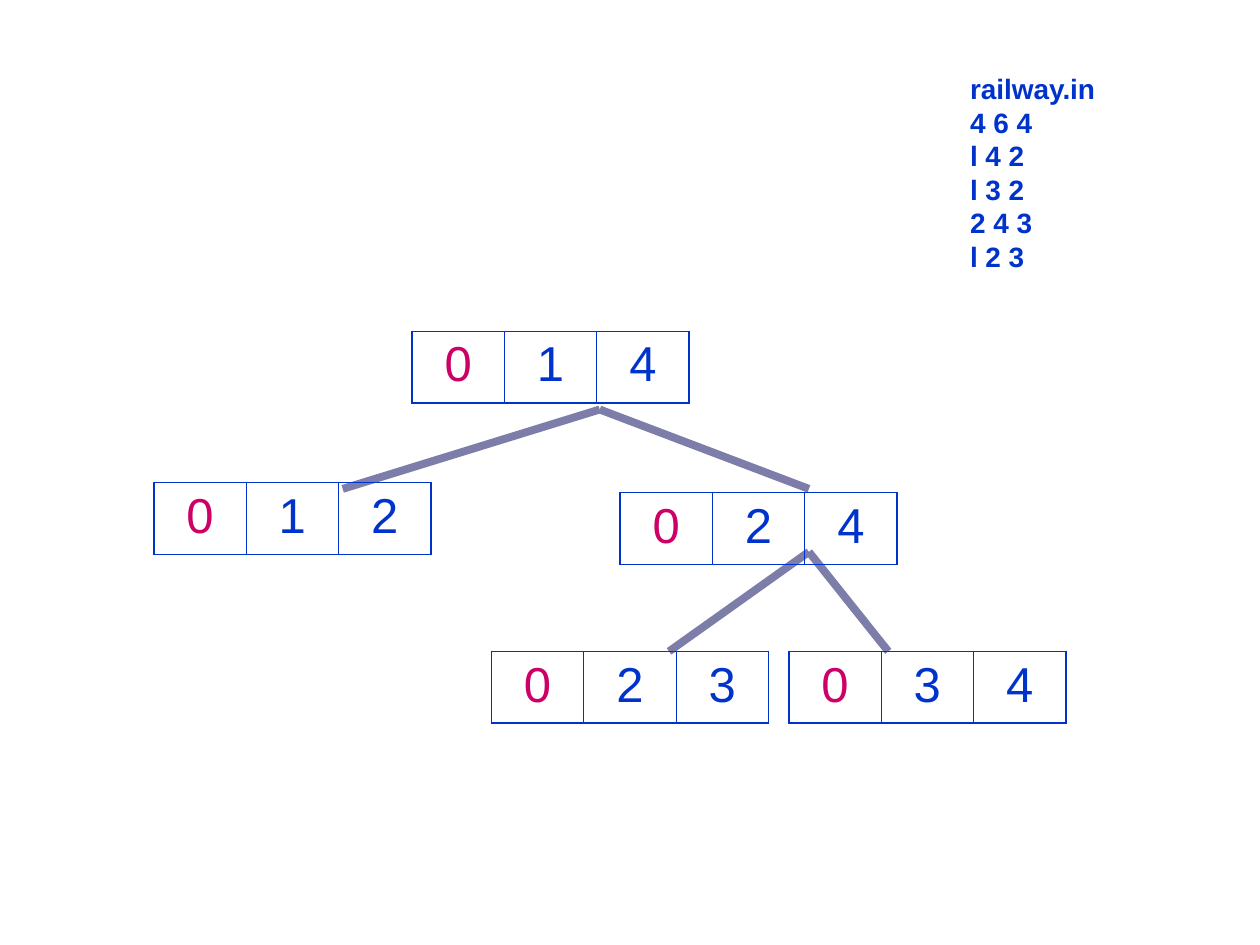
from lxml import etree
from pptx import Presentation
from pptx.dml.color import RGBColor
from pptx.enum.shapes import MSO_CONNECTOR
from pptx.enum.text import MSO_AUTO_SIZE, PP_ALIGN
from pptx.oxml.ns import qn
from pptx.util import Inches, Pt

BLUE = RGBColor(0x00, 0x33, 0xCC)
PINK = RGBColor(0xCC, 0x00, 0x66)
GREY = RGBColor(0x7D, 0x7D, 0xA9)
FONT = "Arial"
STRAIGHT = MSO_CONNECTOR.STRAIGHT
CENTER = PP_ALIGN.CENTER
FIT = MSO_AUTO_SIZE.SHAPE_TO_FIT_TEXT

# The slide is a grid of 100 columns by 75 rows.
COLS, ROWS = 100, 75
UNIT = Inches(0.1)
NODE_W, NODE_H = 22, 5.7
THICK, THIN = Pt(1.08), Pt(0.45)

# Left column, top row and values of each tree node.
NODES = [
    (32.7, 26.3, "014"),
    (12.2, 38.3, "012"),
    (49.2, 39.1, "024"),
    (39, 51.7, "023"),
    (62.6, 51.7, "034"),
]
ROOT, FORK = (47.6, 32.5), (64.2, 43.8)
EDGES = [
    (ROOT, (27.2, 38.8)),
    (FORK, (53.1, 51.7)),
    (FORK, (70.5, 51.7)),
    (ROOT, (64.2, 38.8)),
]
INPUT = "railway.in\n4 6 4\nl 4 2\nl 3 2\n2 4 3\nl 2 3"


def grid(*cells):
    return [round(n * UNIT) for n in cells]


def style(para, size, color, bold=False):
    font = para.font
    font.name, font.size, font.bold = FONT, Pt(size), bold
    font.color.rgb = color


def add_edge(slide, start, end):
    edge = slide.shapes.add_connector(STRAIGHT, *grid(*start, *end))
    edge.line.color.rgb = GREY
    edge.line.width = Pt(4.5)
    etree.SubElement(edge._element.spPr, qn("a:effectLst"))


def add_border(cell, side, width):
    props = cell._tc.get_or_add_tcPr()
    line = etree.SubElement(props, qn(f"a:ln{side}"), w=str(width))
    fill = etree.SubElement(line, qn("a:solidFill"))
    etree.SubElement(fill, qn("a:srgbClr"), val=str(BLUE))


def add_node(slide, left, top, values):
    """Draw a one-row table with thick outer and thin inner borders."""
    count = len(values)
    box = grid(left, top, NODE_W, NODE_H)
    table = slide.shapes.add_table(1, count, *box).table
    table.first_row = table.horz_banding = False
    for i, value in enumerate(values):
        cell = table.cell(0, i)
        cell.text = value
        para = cell.text_frame.paragraphs[0]
        para.alignment = CENTER
        style(para, 28, BLUE if i else PINK)
        add_border(cell, "L", THIN if i else THICK)
        add_border(cell, "R", THIN if i < count - 1 else THICK)
        add_border(cell, "T", THICK)
        add_border(cell, "B", THICK)
        cell.fill.background()


def add_note(slide, left, top, width, height, text):
    frame = slide.shapes.add_textbox(*grid(left, top, width, height)).text_frame
    frame.word_wrap = False
    frame.auto_size = FIT
    para = frame.paragraphs[0]
    para.text = text
    style(para, 16, BLUE, bold=True)


def main():
    deck = Presentation()
    deck.slide_width, deck.slide_height = grid(COLS, ROWS)
    slide = deck.slides.add_slide(deck.slide_layouts[6])
    for start, end in EDGES:
        add_edge(slide, start, end)
    for left, top, values in NODES:
        add_node(slide, left, top, values)
    add_note(slide, 76, 5.2, 12.1, 17, INPUT)
    deck.save("out.pptx")


if __name__ == "__main__":
    main()
